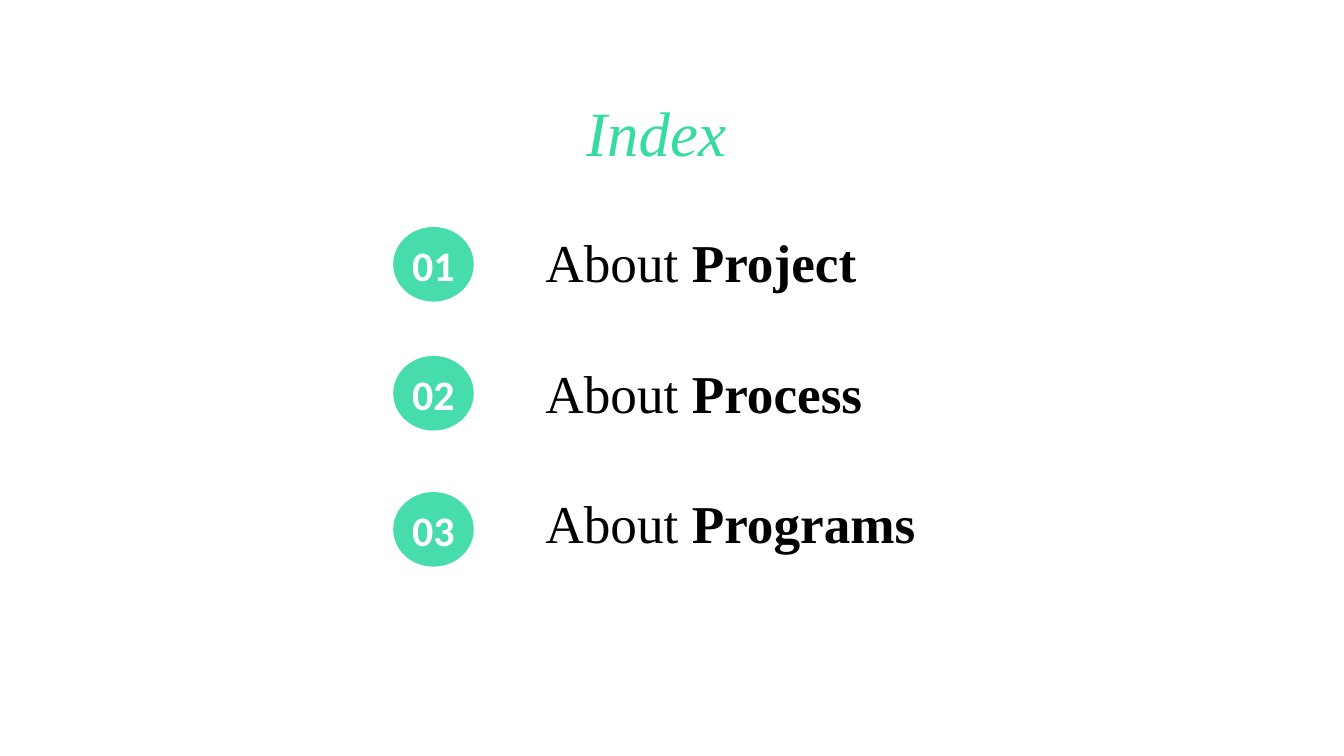
from pptx import Presentation
from pptx.dml.color import RGBColor
from pptx.enum.shapes import MSO_SHAPE
from pptx.enum.text import MSO_ANCHOR, MSO_AUTO_SIZE, PP_ALIGN
from pptx.util import Cm, Pt

OVAL = MSO_SHAPE.OVAL
MIDDLE = MSO_ANCHOR.MIDDLE
NO_FIT = MSO_AUTO_SIZE.NONE
LEFT, CENTER = PP_ALIGN.LEFT, PP_ALIGN.CENTER

TITLE = "Index"
TOPICS = [
    ("01", "Project", 5.72),
    ("02", "Process", 8.97),
    ("03", "Programs", 12.4),
]
SERIF, SANS = "Times New Roman", "Calibri"
GREEN, MINT, BLACK, WHITE = "35DBA1", "46DCAC", "000000", "FFFFFF"


def color(value):
    return RGBColor.from_string(value)


def add_text(p, text, size, font, fill, bold=False, italic=False, align=LEFT):
    p.alignment = align
    r = p.add_run()
    r.text = text
    r.font.size = Pt(size)
    r.font.name = font
    r.font.bold = bold
    r.font.italic = italic
    r.font.color.rgb = color(fill)


def place(sp, left, top, width, height):
    sp.left, sp.top = Cm(left), Cm(top)
    sp.width, sp.height = Cm(width), Cm(height)
    tf = sp.text_frame
    tf.word_wrap = True
    tf.auto_size = NO_FIT
    tf.vertical_anchor = MIDDLE
    return tf


def remove_bullet(p):
    pPr = p._p.get_or_add_pPr()
    pPr.set("marL", "0")
    pPr.set("indent", "0")
    pPr.insert_element_before(
        pPr.makeelement("{http://schemas.openxmlformats.org/drawingml/2006/main}buNone", {}),
        "a:tabLst", "a:defRPr", "a:extLst")


def add_badge(s, number, top):
    sp = s.shapes.add_shape(OVAL, Cm(9.91), Cm(top), Cm(2.03), Cm(1.88))
    sp.shadow.inherit = False
    sp.fill.solid()
    sp.fill.fore_color.rgb = color(MINT)
    sp.line.fill.background()
    tf = sp.text_frame
    tf.margin_left = tf.margin_right = tf.margin_top = tf.margin_bottom = 0
    tf.word_wrap = False
    tf.vertical_anchor = MIDDLE
    add_text(tf.paragraphs[0], number, 30, SANS, WHITE, bold=True, align=CENTER)


def main():
    prs = Presentation()
    prs.slide_width, prs.slide_height = Cm(33.87), Cm(19.05)
    s = prs.slides.add_slide(prs.slide_layouts[1])
    title, body = s.placeholders

    tf = place(title, 6.12, 2.21, 20.83, 2.18)
    add_text(tf.paragraphs[0], TITLE, 45, SERIF, GREEN, italic=True, align=CENTER)

    tf = place(body, 13.49, 5.69, 10.92, 8.38)
    for i, (number, topic, top) in enumerate(TOPICS):
        p = tf.paragraphs[0] if i == 0 else tf.add_paragraph()
        remove_bullet(p)
        p.space_before = Pt(47.5 if i else 0)
        add_text(p, "About ", 38, SERIF, BLACK)
        add_text(p, topic, 38, SERIF, BLACK, bold=True)
        add_badge(s, number, top)

    prs.save("out.pptx")


if __name__ == "__main__":
    main()
